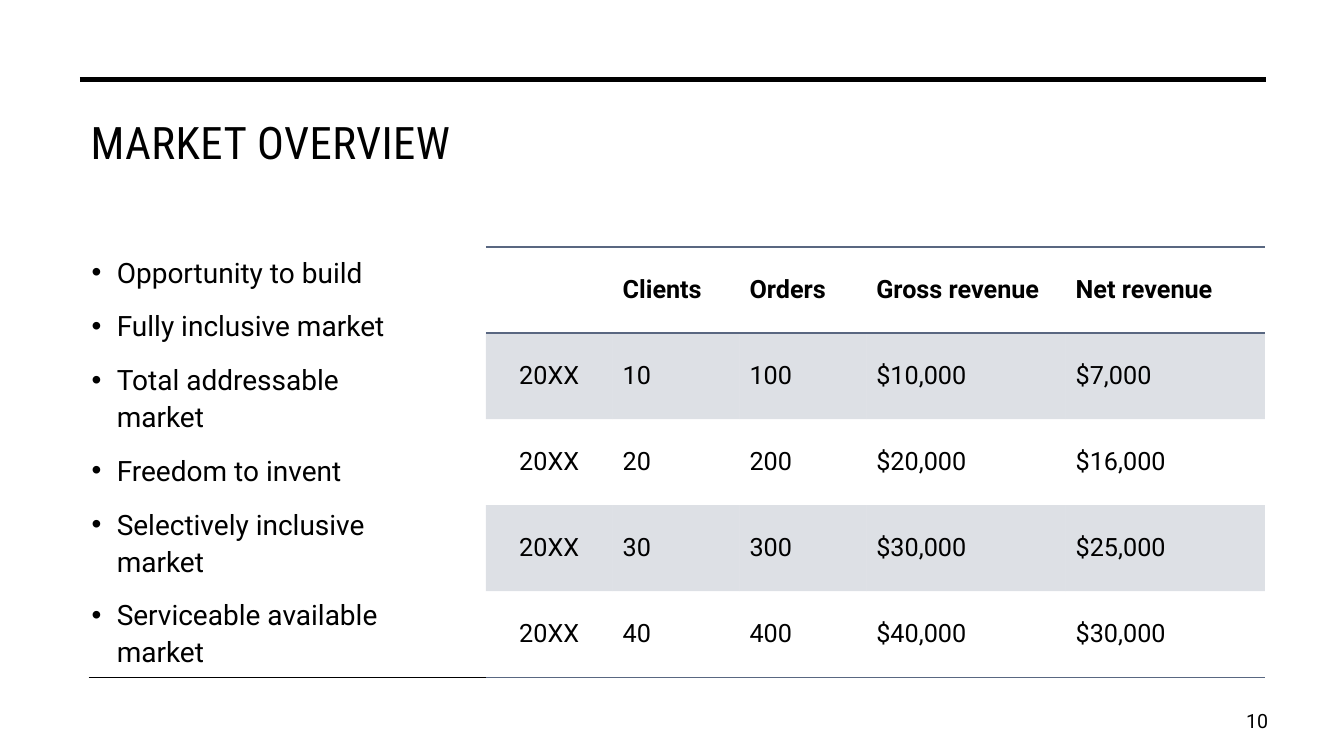
from lxml import etree
from pptx import Presentation
from pptx.dml.color import RGBColor
from pptx.enum import shapes, text
from pptx.oxml import ns
from pptx.util import Pt

BLACK = RGBColor(0x00, 0x00, 0x00)
SLATE = RGBColor(0x59, 0x67, 0x81)
BODY_FONT = "Roboto"
TITLE_FONT = "Roboto Condensed"
NO_STYLE = "{2D5ABB26-0587-4C30-8999-92F81FD0307C}"

POINTS = [
    "Opportunity to build",
    "Fully inclusive market",
    "Total addressable market",
    "Freedom to invent",
    "Selectively inclusive market",
    "Serviceable available market",
]
MARKET = [
    ["", "Clients", "Orders", "Gross revenue", "Net revenue"],
    ["20XX", "10", "100", "$10,000", "$7,000"],
    ["20XX", "20", "200", "$20,000", "$16,000"],
    ["20XX", "30", "300", "$30,000", "$25,000"],
    ["20XX", "40", "400", "$40,000", "$30,000"],
]
COLUMN_WIDTHS = [90.6, 90.6, 90.6, 142.4, 142.4]


def child(parent, tag, **attributes):
    return etree.SubElement(parent, ns.qn(tag), attributes)


def add_run(paragraph, words, size, font=BODY_FONT, bold=False):
    run = paragraph.add_run()
    run.text = words
    run.font.name = font
    run.font.size = Pt(size)
    run.font.bold = bold
    run.font.color.rgb = BLACK
    return run


def add_frame(slide, box, anchor=text.MSO_ANCHOR.TOP):
    frame = slide.shapes.add_textbox(*map(Pt, box)).text_frame
    frame.word_wrap = True
    frame.vertical_anchor = anchor
    return frame


def add_rule(slide, left, top, width, weight):
    rule = slide.shapes.add_connector(
        shapes.MSO_CONNECTOR.STRAIGHT, Pt(left), Pt(top), Pt(left + width), Pt(top))
    rule.line.color.rgb = BLACK
    rule.line.width = Pt(weight)
    child(rule._element.spPr, "a:effectLst")


def add_title(slide, box):
    title = add_frame(slide, box).paragraphs[0]
    run = add_run(title, "MARKET OVERVIEW", 32, TITLE_FONT)
    run._r.get_or_add_rPr().set("spc", "30")


def add_points(slide, box):
    frame = add_frame(slide, box)
    frame.margin_right = Pt(14)
    for index, point in enumerate(POINTS):
        paragraph = frame.paragraphs[0] if index == 0 else frame.add_paragraph()
        paragraph.line_spacing = 1.1
        paragraph.space_after = Pt(12)
        # Hanging bullet
        properties = paragraph._p.get_or_add_pPr()
        properties.set("marL", str(Pt(18)))
        properties.set("indent", str(-Pt(18)))
        child(properties, "a:buFont", typeface="Arial")
        child(properties, "a:buChar", char="•")
        add_run(paragraph, point, 20)


def add_border(cell, side):
    border = child(cell._tc.get_or_add_tcPr(), side, w=str(Pt(1)))
    fill = child(border, "a:solidFill")
    child(fill, "a:srgbClr", val=str(SLATE))


def add_market_table(slide, box):
    frame = slide.shapes.add_table(len(MARKET), len(COLUMN_WIDTHS), *map(Pt, box))
    table = frame.table
    table.horz_banding = False
    table._tbl.tblPr.find(ns.qn("a:tableStyleId")).text = NO_STYLE
    for column, width in zip(table.columns, COLUMN_WIDTHS):
        column.width = Pt(width)
    last = len(MARKET) - 1
    for r, values in enumerate(MARKET):
        table.rows[r].height = Pt(box[3] / len(MARKET))
        for c, value in enumerate(values):
            cell = table.cell(r, c)
            cell.vertical_anchor = text.MSO_ANCHOR.MIDDLE
            # Rules around the header and under the last row
            if r == 0:
                add_border(cell, "a:lnT")
            if r in (0, last):
                add_border(cell, "a:lnB")
            # Tinted odd rows
            if r % 2:
                cell.fill.solid()
                cell.fill.fore_color.rgb = SLATE
                tint = cell._tc.tcPr.find(".//" + ns.qn("a:solidFill") + "/" + ns.qn("a:srgbClr"))
                child(tint, "a:alpha", val="20000")
            else:
                cell.fill.background()
            paragraph = cell.text_frame.paragraphs[0]
            if c == 0:
                paragraph.alignment = text.PP_ALIGN.CENTER
            if value:
                add_run(paragraph, value, 18, bold=r == 0)


def add_page_number(slide, box):
    number = add_frame(slide, box, text.MSO_ANCHOR.MIDDLE).paragraphs[0]
    number.alignment = text.PP_ALIGN.RIGHT
    add_run(number, "10", 14)


def main():
    deck = Presentation()
    deck.slide_width, deck.slide_height = Pt(960), Pt(540)
    slide = deck.slides.add_slide(deck.slide_layouts[6])

    # Frame rules
    add_rule(slide, 57, 56.9, 847.4, 3.5)
    add_rule(slide, 63.4, 483.8, 833.7, 1)

    # Content
    add_title(slide, (57.6, 78.5, 844.6, 93.6))
    add_points(slide, (58.3, 176.4, 257.8, 307.4))
    add_market_table(slide, (347, 176.4, sum(COLUMN_WIDTHS), 307.4))
    add_page_number(slide, (859.7, 500.4, 53.3, 28.8))

    deck.save("out.pptx")


if __name__ == "__main__":
    main()
